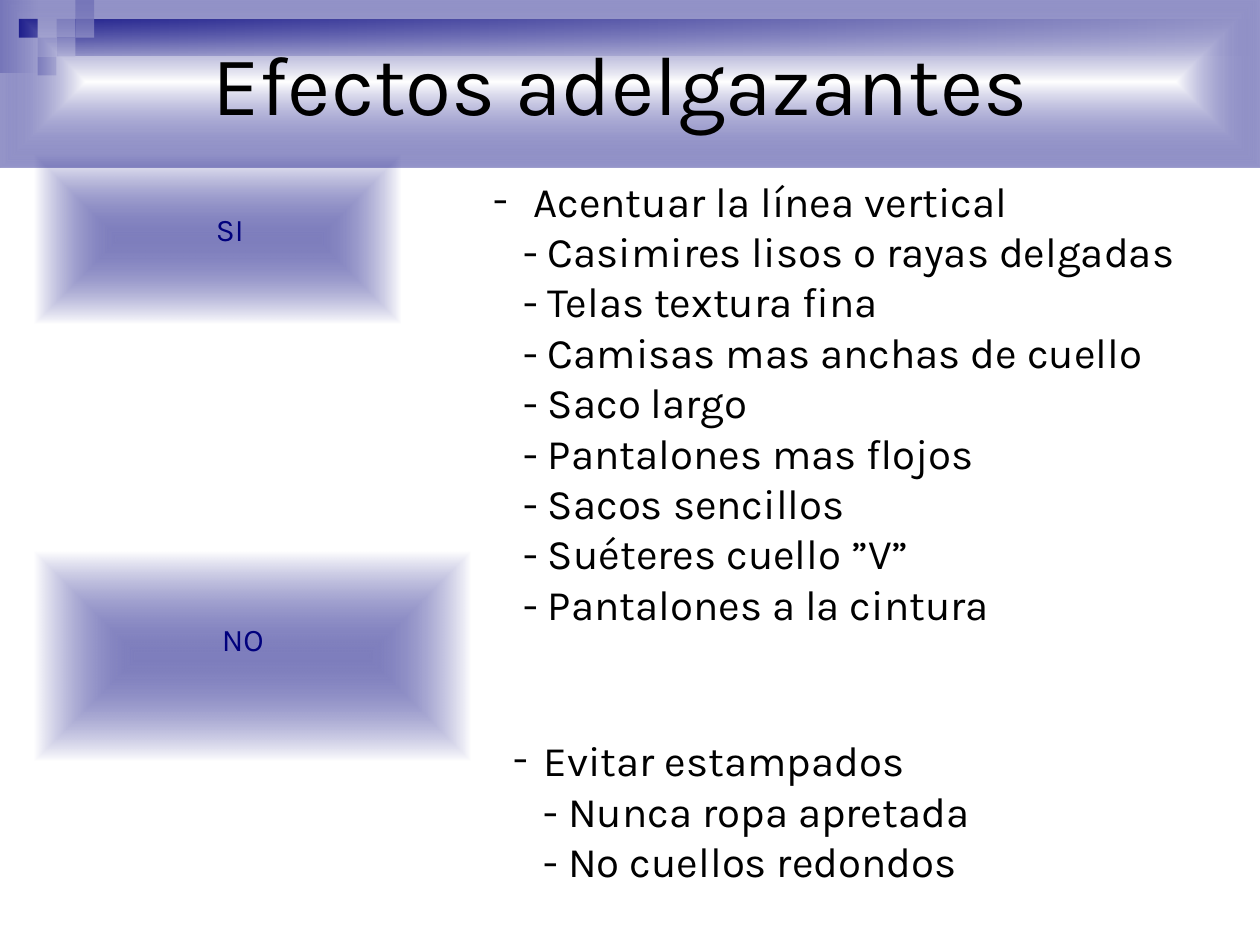
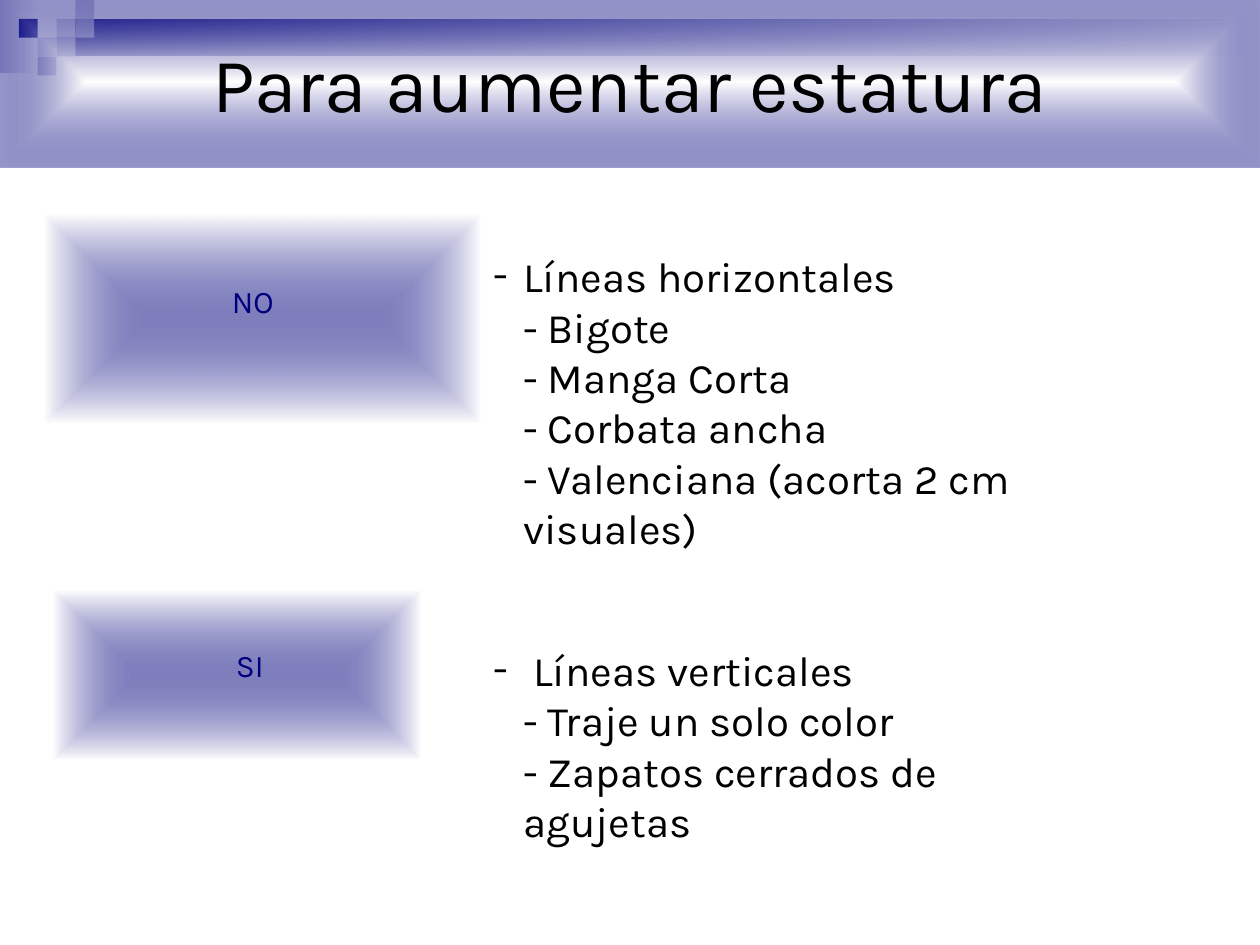
from dataclasses import dataclass

from pptx import Presentation
from pptx.dml.color import RGBColor
from pptx.enum.shapes import MSO_SHAPE
from pptx.enum.text import MSO_ANCHOR, MSO_AUTO_SIZE, PP_ALIGN
from pptx.oxml import parse_xml
from pptx.oxml.ns import nsdecls
from pptx.util import Cm, Pt


@dataclass(frozen=True)
class Theme:
    font: str = "Karla"
    navy: str = "00007D"
    lavender: str = "9999CC"
    pale: str = "CCCCE6"
    white: str = "FFFFFF"
    black: str = "000000"
    title_size: int = 44
    large_title_size: int = 48
    list_size: int = 24
    label_size: int = 18


THEME = Theme()
FROM_CENTRE = '<a:path path="rect"><a:fillToRect l="50000" t="50000" r="50000" b="50000"/></a:path>'
RIGHT_TO_LEFT = '<a:lin ang="10800000" scaled="0"/>'

TILE = 0.38
TILES = [  # column, row, colour
    (3, 1, THEME.pale), (4, 0, THEME.pale), (4, 1, THEME.lavender),
    (2, 2, THEME.pale), (1, 1, THEME.navy), (3, 2, THEME.lavender),
    (2, 3, THEME.lavender),
]
TITLE_BOX = (0, -0.08, 25.4, 3.45)
# panel size, then the label's offset and size within it
PANELS = {
    "SI": ((7.39, 3.4), (2.18, 0.99), (3.53, 1.3)),
    "NO": ((8.79, 4.19), (2.59, 1.24), (3.23, 1.6)),
}
LIST_INDENT = 0.6
UPPER_LIST_BOX = (9.7, 4.11, 14.35, 8.99)
INSET = 0.13
UPPER_LIST_INSET = 1.14

SLIDES = [
    {
        "title": "Efectos adelgazantes ",
        "title_size": THEME.large_title_size,
        "panels": {"SI": (0.69, 3.12), "NO": (0.69, 11.13)},
        "upper": [" Acentuar la línea vertical", "- Casimires lisos o rayas delgadas",
                  "- Telas textura fina", "- Camisas mas anchas de cuello",
                  "- Saco largo", "- Pantalones mas flojos", "- Sacos sencillos",
                  "- Suéteres cuello ”V”", "- Pantalones a la cintura"],
        "lower": ["Evitar estampados", "- Nunca ropa apretada", "- No cuellos redondos"],
        "lower_box": (10.11, 13.34, 10.59, 5.99),
    },
    {
        "title": "Para aumentar estatura",
        "title_size": THEME.title_size,
        "panels": {"SI": (1.09, 11.91), "NO": (0.89, 4.32)},
        "upper": ["Líneas horizontales", "- Bigote", "- Manga Corta", "- Corbata ancha",
                  "- Valenciana (acorta 2 cm visuales)"],
        "lower": [" Líneas verticales", "- Traje un solo color",
                  "- Zapatos cerrados de agujetas"],
        "lower_box": (9.7, 12.93, 12.83, 4.19),
    },
]


def set_formats(target, formats):
    for name, value in formats.items():
        setattr(target, name, value)


def gradient(shape, first, last, direction, opacity=(100, 100)):
    stops = "".join(
        f'<a:gs pos="{position}"><a:srgbClr val="{colour}">'
        f'<a:alpha val="{percent * 1000}"/></a:srgbClr></a:gs>'
        for position, colour, percent in zip((0, 100000), (first, last), opacity))
    shape.element.spPr.append(parse_xml(
        f'<a:gradFill {nsdecls("a")} rotWithShape="1"><a:gsLst>{stops}</a:gsLst>'
        f'{direction}</a:gradFill>'))


class Deck:
    """Holds the theme and the slide being built."""

    def __init__(self, presentation, theme):
        self.presentation = presentation
        self.theme = theme
        self.layout = presentation.slide_layouts[3]
        self.slide = None

    def new_slide(self):
        self.slide = self.presentation.slides.add_slide(self.layout)

    def rectangle(self, shapes, box, fill):
        """Add a plain rectangle; fill is a colour or the arguments of gradient."""
        shape = shapes.add_shape(MSO_SHAPE.RECTANGLE, *map(Cm, box))
        if isinstance(fill, str):
            shape.fill.solid()
            shape.fill.fore_color.rgb = RGBColor.from_string(fill)
        else:
            gradient(shape, *fill)
        shape.line.fill.background()
        shape.shadow.inherit = False
        return shape

    def mosaic(self):
        """Draw the corner tiles and move them to the layout, for all slides."""
        theme = self.theme
        pieces = [
            ((0, 0, 0.79, 1.47), (theme.white, theme.pale, RIGHT_TO_LEFT)),
            ((3 * TILE, TILE, 25.4 - 3 * TILE, 2 * TILE),
             (theme.white, theme.navy, RIGHT_TO_LEFT)),
        ]
        pieces += [((column * TILE, row * TILE, TILE, TILE), colour)
                   for column, row, colour in TILES]
        for box, fill in pieces:
            shape = self.rectangle(self.slide.shapes, box, fill)
            self.layout.shapes.element.append(shape.element)

    def fill_text(self, shape, text, size, colour, paragraph_formats, frame_formats):
        frame = shape.text_frame
        set_formats(frame, {"auto_size": MSO_AUTO_SIZE.NONE, "word_wrap": True,
                            "margin_left": Cm(0.25), "margin_right": Cm(0.25),
                            "margin_top": Cm(INSET), "margin_bottom": Cm(INSET),
                            **frame_formats})
        paragraph = frame.paragraphs[0]
        paragraph.text = text
        set_formats(paragraph, {"space_before": Pt(0), **paragraph_formats})
        for run in paragraph.runs:
            set_formats(run.font, {"name": self.theme.font, "size": Pt(size)})
            run.font.color.rgb = RGBColor.from_string(colour)
        return paragraph

    def placeholder(self, index, box):
        """Position a placeholder and bring it in front of what is drawn so far."""
        shape = self.slide.placeholders[index]
        set_formats(shape, dict(zip(("left", "top", "width", "height"), map(Cm, box))))
        self.slide.shapes.element.append(shape.element)
        return shape

    def title(self, text, size):
        shape = self.placeholder(0, TITLE_BOX)
        gradient(shape, self.theme.white, self.theme.navy, FROM_CENTRE, (100, 41))
        self.fill_text(shape, text, size, self.theme.black,
                       {"alignment": PP_ALIGN.CENTER},
                       {"vertical_anchor": MSO_ANCHOR.MIDDLE})

    def panel(self, label, left, top):
        size, offset, label_size = PANELS[label]
        group = self.slide.shapes.add_group_shape()
        self.rectangle(group.shapes, (left, top, *size),
                       (self.theme.navy, self.theme.white, FROM_CENTRE, (50, 100)))
        box = (left + offset[0], top + offset[1], *label_size)
        self.fill_text(group.shapes.add_textbox(*map(Cm, box)), label,
                       self.theme.label_size, self.theme.navy,
                       {"alignment": PP_ALIGN.CENTER}, {})

    def dash_list(self, index, lines, box, bottom_inset=INSET):
        shape = self.placeholder(index, box)
        paragraph = self.fill_text(
            shape, "\v".join(lines), self.theme.list_size, self.theme.black,
            {"alignment": PP_ALIGN.LEFT},
            {"vertical_anchor": MSO_ANCHOR.MIDDLE, "margin_bottom": Cm(bottom_inset)})
        properties = paragraph._p.get_or_add_pPr()
        properties.set("marL", str(Cm(LIST_INDENT)))
        properties.set("indent", str(-Cm(LIST_INDENT)))
        for bullet in (f'<a:buClr {nsdecls("a")}><a:srgbClr val="{self.theme.black}"/></a:buClr>',
                       f'<a:buFont {nsdecls("a")} typeface="{self.theme.font}"/>',
                       f'<a:buChar {nsdecls("a")} char="-"/>'):
            properties.append(parse_xml(bullet))


def main():
    presentation = Presentation()
    set_formats(presentation, {"slide_width": Cm(25.4), "slide_height": Cm(19.05)})
    deck = Deck(presentation, THEME)
    for number, content in enumerate(SLIDES):
        deck.new_slide()
        if number == 0:
            deck.mosaic()
        for label, position in content["panels"].items():
            deck.panel(label, *position)
        deck.title(content["title"], content["title_size"])
        deck.dash_list(1, content["upper"], UPPER_LIST_BOX, UPPER_LIST_INSET)
        deck.dash_list(2, content["lower"], content["lower_box"])
    presentation.save("out.pptx")


if __name__ == "__main__":
    main()
